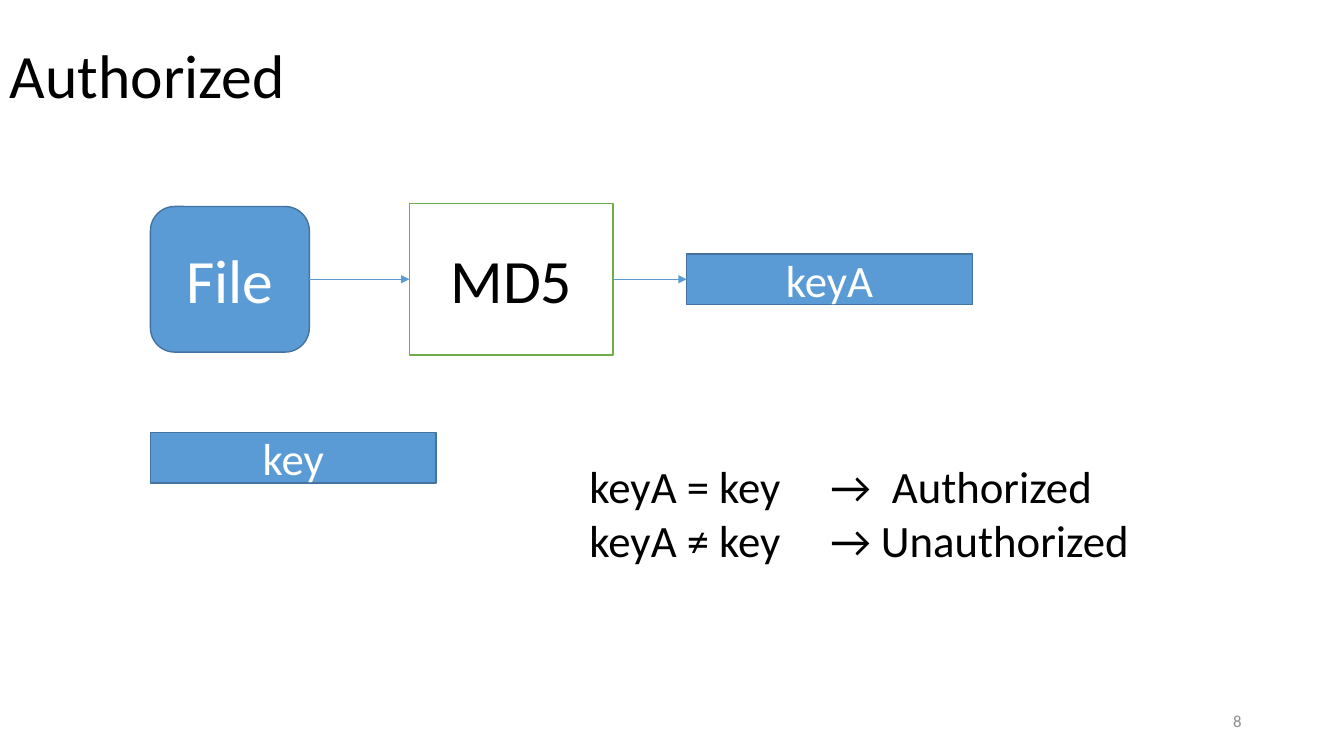
from lxml.etree import SubElement
from pptx import Presentation
from pptx.dml.color import RGBColor
from pptx.enum.shapes import MSO_CONNECTOR, MSO_SHAPE
from pptx.enum.text import MSO_ANCHOR, PP_ALIGN
from pptx.oxml.ns import qn
from pptx.util import Pt

COLORS = {
    "black": "000000",
    "white": "FFFFFF",
    "gray": "8C8C8C",
    "blue": "5B9BD5",
    "dark_blue": "43739E",
    "green": "70AD47",
}
RIGHT_SIDE, LEFT_SIDE = 3, 1
FLOW_MIDDLE = 199.5
KEY_SIZE = (204, 36)


def color(name):
    return RGBColor.from_string(COLORS[name])


class SlideBuilder:
    font_name = "Calibri"

    def __init__(self, slide):
        self.slide = slide

    def set_text(self, shape, lines, size, color_name, tabs=(), anchor=MSO_ANCHOR.MIDDLE, **paragraph_format):
        """Fill the shape with one paragraph per line and set its tab stops in points."""
        frame = shape.text_frame
        frame.word_wrap = True
        frame.vertical_anchor = anchor
        frame.text = "\n".join(lines)
        font_format = {"name": self.font_name, "size": Pt(size)}
        for paragraph in frame.paragraphs:
            for name, value in paragraph_format.items():
                setattr(paragraph, name, value)
            for run in paragraph.runs:
                for name, value in font_format.items():
                    setattr(run.font, name, value)
                run.font.color.rgb = color(color_name)
            if tabs:
                tab_list = SubElement(paragraph._p.get_or_add_pPr(), qn("a:tabLst"))
                for position in tabs:
                    SubElement(tab_list, qn("a:tab"), pos=str(Pt(position)), algn="l")

    def text(self, left, top, width, height, lines, size, color_name="black", **text_format):
        shape = self.slide.shapes.add_textbox(Pt(left), Pt(top), Pt(width), Pt(height))
        self.set_text(shape, lines, size, color_name, **text_format)

    def box(self, label, left, middle, width, height, size,
            kind=MSO_SHAPE.RECTANGLE, fill="blue", line="dark_blue", text_color="white"):
        """Draw a labelled box centred vertically on middle."""
        shape = self.slide.shapes.add_shape(
            kind, Pt(left), Pt(middle - height / 2), Pt(width), Pt(height))
        shape.shadow.inherit = False
        shape.fill.solid()
        shape.fill.fore_color.rgb = color(fill)
        shape.line.color.rgb = color(line)
        shape.line.width = Pt(1)
        self.set_text(shape, [label], size, text_color, alignment=PP_ALIGN.CENTER)
        return shape

    def arrow(self, source, target):
        """Join the right side of source to the left side of target."""
        connector = self.slide.shapes.add_connector(MSO_CONNECTOR.STRAIGHT, 0, 0, 0, 0)
        connector.begin_connect(source, RIGHT_SIDE)
        connector.end_connect(target, LEFT_SIDE)
        connector.line.color.rgb = color("blue")
        connector.line.width = Pt(0.5)
        SubElement(connector.line._get_or_add_ln(), qn("a:tailEnd"), type="triangle")
        SubElement(connector._element.spPr, qn("a:effectLst"))


def main():
    presentation = Presentation()
    presentation.slide_width = Pt(960)
    presentation.slide_height = Pt(540)
    builder = SlideBuilder(presentation.slides.add_slide(presentation.slide_layouts[6]))

    builder.text(0, 3.5, 828, 104.5, ["Authorized"], 44, line_spacing=0.9)
    builder.text(678, 500.5, 216, 28.5, ["8"], 12, "gray", alignment=PP_ALIGN.RIGHT)

    file_box = builder.box("File", 107.5, FLOW_MIDDLE, 113.5, 104, 44, MSO_SHAPE.ROUNDED_RECTANGLE)
    hash_box = builder.box("MD5", 292.5, FLOW_MIDDLE, 145.5, 108, 44,
                           fill="white", line="green", text_color="black")
    key_a_box = builder.box("keyA", 490.5, FLOW_MIDDLE, *KEY_SIZE, 32)
    builder.box("key", 107.5, 327, *KEY_SIZE, 32)
    builder.arrow(file_box, hash_box)
    builder.arrow(hash_box, key_a_box)

    builder.text(414, 324, 432, 85, ["keyA = key\t→\tAuthorized", "keyA ≠ key\t→ Unauthorized"], 32,
                 tabs=(172, 216), anchor=MSO_ANCHOR.TOP)

    presentation.save("out.pptx")


if __name__ == "__main__":
    main()
